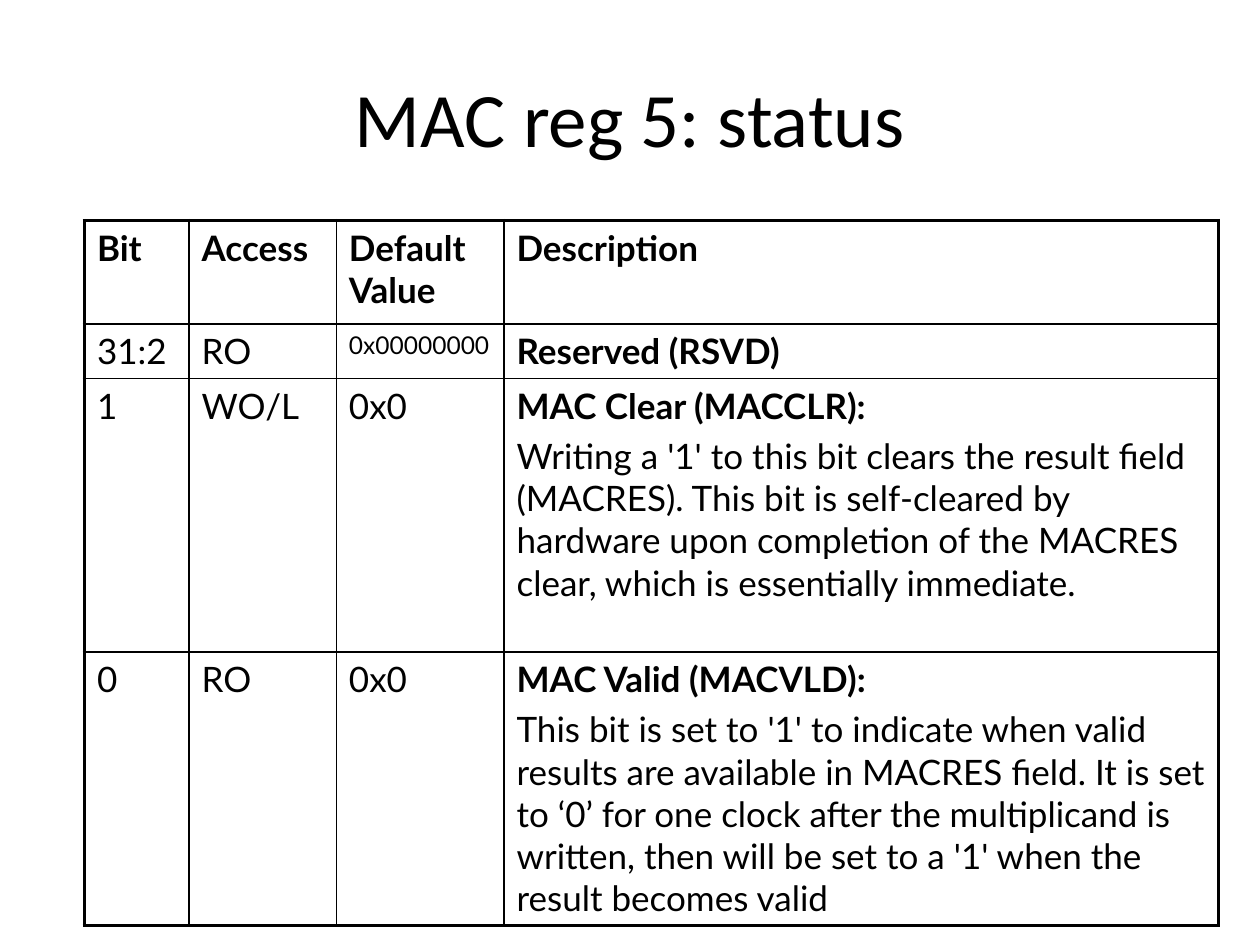
from lxml import etree
from pptx import Presentation
from pptx.dml.color import RGBColor as RGB
from pptx.enum.text import MSO_ANCHOR, PP_ALIGN
from pptx.oxml.ns import qn
from pptx.util import Inches, Pt

COLORS = {"text": "000000", "border": "000000"}
THIN, THICK = 1, 2.25
COL_WIDTHS = [0.83, 1.17, 1.33, 5.67]
ROW_HEIGHTS = [0.82, 0.43, 2.17, 2.17]
ROWS = [
    ["Bit", "Access", "Default Value", ["Description"]],
    ["31:2", "RO", "0x00000000", ["Reserved (RSVD)"]],
    ["1", "WO/L", "0x0", [
        "MAC Clear (MACCLR):",
        "Writing a '1' to this bit clears the result field (MACRES). "
        "This bit is self-cleared by hardware upon completion of the "
        "MACRES clear, which is essentially immediate."]],
    ["0", "RO", "0x0", [
        "MAC Valid (MACVLD):",
        "This bit is set to '1' to indicate when valid results are available "
        "in MACRES field. It is set to ‘0’ for one clock after the "
        "multiplicand is written, then will be set to a '1' when the result "
        "becomes valid"]],
]


def style(p, name, size, bold=False):
    p.font.name = name
    p.font.size = Pt(size)
    p.font.bold = bold
    p.font.color.rgb = RGB.from_string(COLORS["text"])


def add_border(cell, side, width):
    tcPr = cell._tc.get_or_add_tcPr()
    ln = etree.SubElement(tcPr, qn(f"a:ln{side}"), w=str(Pt(width)))
    fill = etree.SubElement(ln, qn("a:solidFill"))
    etree.SubElement(fill, qn("a:srgbClr"), val=COLORS["border"])


prs = Presentation()
prs.slide_width, prs.slide_height = Inches(10), Inches(7.5)
s = prs.slides.add_slide(prs.slide_layouts[6])

title = s.shapes.add_textbox(Inches(0.5), Inches(0.3), Inches(9), Inches(1.25))
tf = title.text_frame
tf.word_wrap = True
tf.vertical_anchor = MSO_ANCHOR.MIDDLE
p = tf.paragraphs[0]
p.text = "MAC reg 5: status"
p.alignment = PP_ALIGN.CENTER
style(p, "Calibri", 44)

n_rows, n_cols = len(ROWS), len(COL_WIDTHS)
table = s.shapes.add_table(n_rows, n_cols, Inches(0.67), Inches(1.75),
                           Inches(sum(COL_WIDTHS)), Inches(sum(ROW_HEIGHTS))).table
table.first_row = table.horz_banding = False
for column, width in zip(table.columns, COL_WIDTHS):
    column.width = Inches(width)
for row, height in zip(table.rows, ROW_HEIGHTS):
    row.height = Inches(height)

for i, row in enumerate(ROWS):
    for j, content in enumerate(row):
        cell = table.cell(i, j)
        paragraphs = content if isinstance(content, list) else [content]
        cell.text = "\n".join(paragraphs)
        for k, p in enumerate(cell.text_frame.paragraphs):
            heading = i == 0 or (j == n_cols - 1 and k == 0)
            style(p, "Lato", 14 if (i, j) == (1, 2) else 20, heading)
            if k:
                p.space_before = Pt(4.5)
        outer = {"L": j == 0, "R": j == n_cols - 1,
                 "T": i == 0, "B": i == n_rows - 1}
        for side, is_outer in outer.items():
            add_border(cell, side, THICK if is_outer else THIN)
        cell.fill.background()

prs.save("out.pptx")
